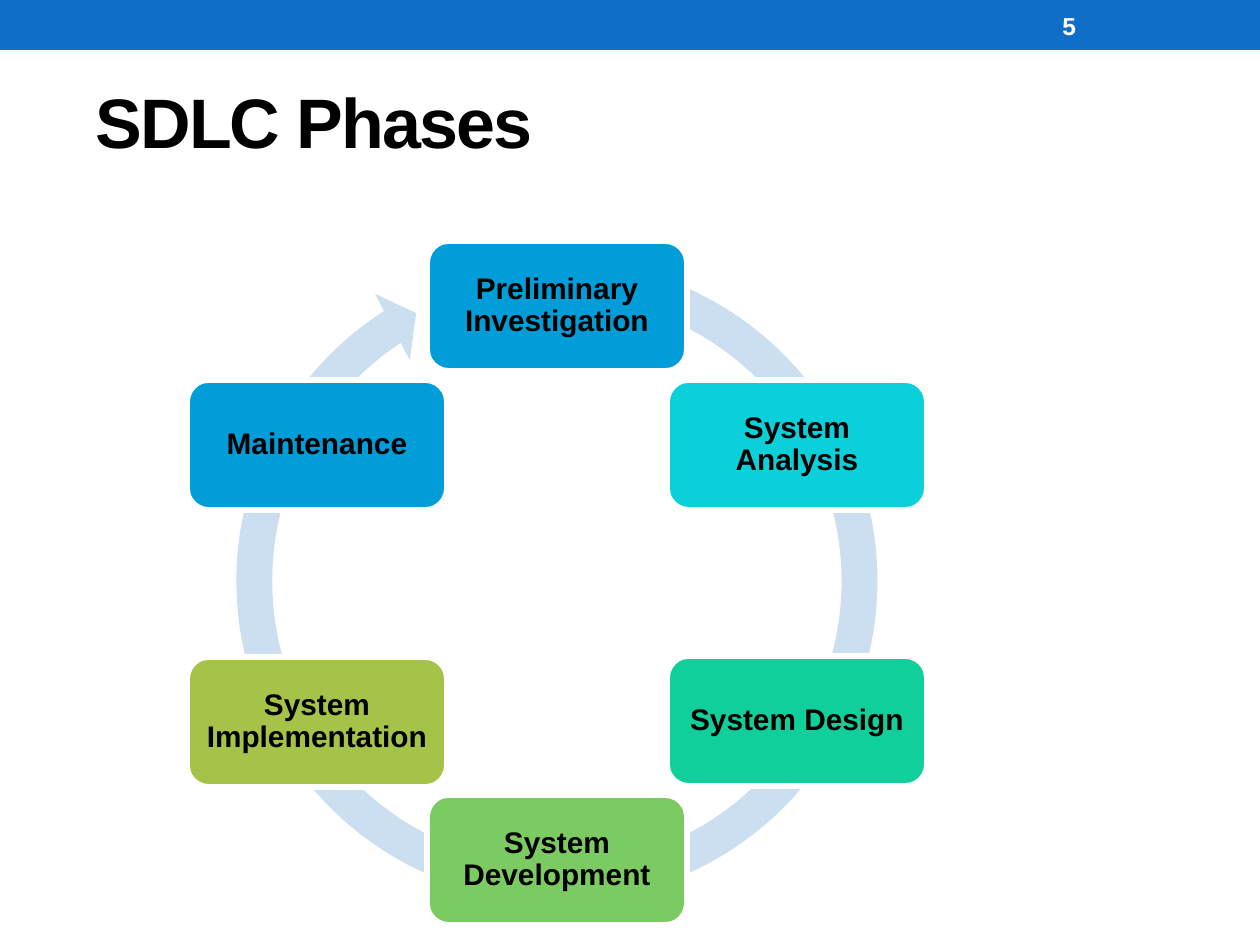
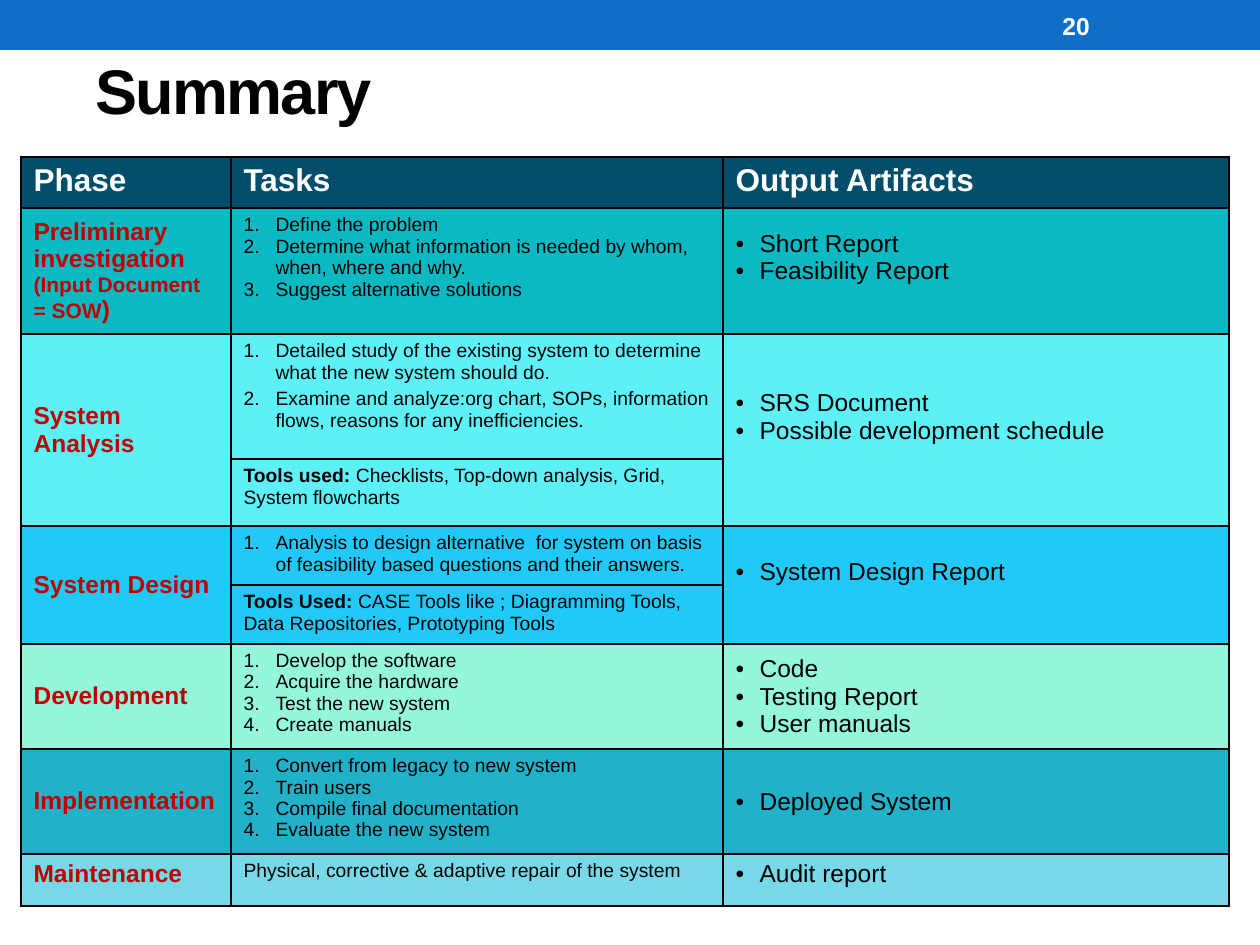
import math
from dataclasses import dataclass
from typing import NamedTuple, Optional

import pptx
import pptx.dml.color
import pptx.enum.shapes
import pptx.enum.text
import pptx.oxml.ns
import pptx.util
from lxml import etree

RGBColor = pptx.dml.color.RGBColor
Shape = pptx.enum.shapes.MSO_SHAPE
Anchor = pptx.enum.text.MSO_ANCHOR
Align = pptx.enum.text.PP_ALIGN
Pt = pptx.util.Pt
qn = pptx.oxml.ns.qn

PX_PER_INCH = 126
FONT = "Arial"

WHITE = RGBColor(0xFF, 0xFF, 0xFF)
BLACK = RGBColor(0x00, 0x00, 0x00)
BAND_BLUE = RGBColor(0x0F, 0x6F, 0xC6)
RING_BLUE = RGBColor(0xCC, 0xDF, 0xF1)
SKY = RGBColor(0x00, 0x9D, 0xD9)
CYAN = RGBColor(0x0B, 0xD0, 0xD9)
TEAL = RGBColor(0x10, 0xCF, 0x9B)
GREEN = RGBColor(0x7C, 0xCA, 0x62)
OLIVE = RGBColor(0xA5, 0xC2, 0x49)
HEADER_NAVY = RGBColor(0x00, 0x4E, 0x6C)
PHASE_RED = RGBColor(0xC0, 0x00, 0x00)
ROW_TEAL = RGBColor(0x0A, 0xB9, 0xC2)
ROW_AQUA = RGBColor(0x5E, 0xF0, 0xF7)
ROW_SKY = RGBColor(0x20, 0xC9, 0xF8)
ROW_MINT = RGBColor(0x94, 0xF7, 0xDC)
ROW_SEA = RGBColor(0x21, 0xB2, 0xC9)
ROW_PALE = RGBColor(0x77, 0xD9, 0xE8)


class Box(NamedTuple):
    left: int
    top: int
    width: int
    height: int


class Style(NamedTuple):
    size: int
    color: RGBColor
    bold: bool = False


class Span(NamedTuple):
    """A piece of a line that has its own size or weight."""
    text: str
    size: int
    bold: bool


class Marker(NamedTuple):
    tag: str
    attribute: str
    value: str
    indent: int


class Stage(NamedTuple):
    label: str
    fill: RGBColor


@dataclass(frozen=True)
class Phase:
    heading: tuple
    fill: RGBColor
    heights: tuple[int, ...]
    tasks: tuple[str, ...]
    artifacts: tuple[str, ...]
    tools: tuple[Span, ...] = ()
    numbered: bool = True
    task_gap: int = 0
    artifact_lift: int = 0
    anchor: Anchor = Anchor.MIDDLE


PAGE = Box(0, 0, 1260, 945)
BAND = Box(0, 0, 1260, 50)
PAGE_NUMBER = Box(1050, 3, 147, 45)
PAGE_NUMBER_STYLE = Style(14, WHITE, True)
STAGE_STYLE = Style(17, BLACK, True)
HEADER_STYLE = Style(18, WHITE, True)
PHASE_STYLE = Style(14, PHASE_RED, True)
TASK_STYLE = Style(11, BLACK)
ARTIFACT_STYLE = Style(14, BLACK)
NUMBER = Marker("a:buAutoNum", "type", "arabicPeriod", 32)
BULLET = Marker("a:buChar", "char", "•", 24)

RING = Box(217, 241, 680, 680)
RING_ADJUSTMENTS = (0.05274, 3.126, 142.241, 171.294, 0.055)
CYCLE_X, CYCLE_Y, CYCLE_RADIUS = 557, 583, 277
STAGE_WIDTH, STAGE_HEIGHT = 260, 130
STAGES = (
    Stage("Preliminary Investigation", SKY),
    Stage("System Analysis", CYAN),
    Stage("System Design", TEAL),
    Stage("System Development", GREEN),
    Stage("System Implementation", OLIVE),
    Stage("Maintenance", SKY),
)

TABLE_LEFT, TABLE_TOP = 21, 157
HEADER_HEIGHT = 51
COLUMN_WIDTHS = (210, 492, 506)
HEADERS = ("Phase", "Tasks", "Output Artifacts")
PHASES = (
    Phase(
        ("Preliminary investigation",
         (Span("(Input Document = SOW", 12, True), Span(")", 14, True))),
        ROW_TEAL, (120,),
        ("Define the problem",
         "Determine what information is needed by whom, when, where and why.",
         "Suggest alternative solutions"),
        ("Short Report", "Feasibility Report"),
        artifact_lift=27,
    ),
    Phase(
        ("System Analysis",), ROW_AQUA, (125, 67),
        ("Detailed study of the existing system to determine what the new system should do.",
         "Examine and analyze:org chart, SOPs, information flows, reasons for any inefficiencies."),
        ("SRS Document", "Possible development schedule"),
        tools=(Span("Tools used: ", 11, True),
               Span("Checklists, Top-down analysis, Grid, System flowcharts", 11, False)),
        task_gap=5,
        artifact_lift=27,
    ),
    Phase(
        ("System Design",), ROW_SKY, (55, 56),
        ("Analysis to design alternative  for system on basis of feasibility "
         "based questions and their answers.",),
        ("System Design Report",),
        tools=(Span("Tools Used: ", 11, True),
               Span("CASE Tools like ; Diagramming Tools, Data Repositories, "
                    "Prototyping Tools", 11, False)),
        artifact_lift=27,
    ),
    Phase(
        ("Development",), ROW_MINT, (98,),
        ("Develop the software", "Acquire the hardware",
         "Test the new system", "Create manuals"),
        ("Code", "Testing Report", "User manuals"),
    ),
    Phase(
        ("Implementation",), ROW_SEA, (98,),
        ("Convert from legacy to new system", "Train users",
         "Compile final documentation", "Evaluate the new system"),
        ("Deployed System",),
    ),
    Phase(
        ("Maintenance",), ROW_PALE, (52,),
        ("Physical, corrective & adaptive repair of the system",),
        ("Audit report",),
        numbered=False,
        anchor=Anchor.TOP,
    ),
)


def px(length: float) -> int:
    return pptx.util.Emu(round(length * 914400 / PX_PER_INCH))


def place(box: Box) -> tuple[int, ...]:
    return tuple(px(length) for length in box)


def set_font(font, style: Style) -> None:
    font.name = FONT
    font.size = Pt(style.size)
    font.bold = style.bold
    font.color.rgb = style.color


def add_marker(paragraph, marker: Marker) -> None:
    properties = paragraph._p.get_or_add_pPr()
    properties.set("marL", str(px(marker.indent)))
    properties.set("indent", str(-px(marker.indent)))
    etree.SubElement(properties, qn("a:buFont")).set("typeface", FONT)
    etree.SubElement(properties, qn(marker.tag)).set(marker.attribute, marker.value)


def write_lines(frame, lines: tuple, style: Style,
                marker: Optional[Marker] = None, gap: int = 0) -> None:
    """Write each line, a string or a tuple of spans, as one paragraph."""
    frame.word_wrap = True
    for index, line in enumerate(lines):
        paragraph = frame.add_paragraph() if index else frame.paragraphs[0]
        if index and gap:
            paragraph.space_before = px(gap)
        if marker:
            add_marker(paragraph, marker)
        if isinstance(line, str):
            paragraph.add_run().text = line
            set_font(paragraph.font, style)
            continue
        for span in line:
            run = paragraph.add_run()
            run.text = span.text
            set_font(run.font, Style(span.size, style.color, span.bold))


def add_filled(slide, kind: Shape, box: Box, fill: RGBColor):
    shape = slide.shapes.add_shape(kind, *place(box))
    shape.shadow.inherit = False
    shape.fill.solid()
    shape.fill.fore_color.rgb = fill
    shape.line.fill.background()
    return shape


def add_label(slide, box: Box, text: str, style: Style):
    frame = slide.shapes.add_textbox(*place(box)).text_frame
    frame.vertical_anchor = Anchor.MIDDLE
    write_lines(frame, (text,), style)
    return frame.paragraphs[0]


def add_page(deck, number: int, title: str, title_box: Box, title_size: int):
    """Add a blank slide with the top band, page number and title."""
    slide = deck.slides.add_slide(deck.slide_layouts[6])
    add_filled(slide, Shape.RECTANGLE, BAND, BAND_BLUE)
    add_label(slide, PAGE_NUMBER, str(number), PAGE_NUMBER_STYLE)
    heading = add_label(slide, title_box, title, Style(title_size, BLACK, True))
    heading.runs[0]._r.get_or_add_rPr().set("spc", "-100")
    return slide


def add_stage(slide, stage: Stage, angle: float) -> None:
    center_x = CYCLE_X + CYCLE_RADIUS * math.sin(angle)
    center_y = CYCLE_Y - CYCLE_RADIUS * math.cos(angle)
    box = Box(round(center_x - STAGE_WIDTH / 2), round(center_y - STAGE_HEIGHT / 2),
              STAGE_WIDTH, STAGE_HEIGHT)
    card = add_filled(slide, Shape.ROUNDED_RECTANGLE, box, stage.fill)
    card.line.color.rgb = WHITE
    card.line.width = Pt(3.35)
    frame = card.text_frame
    frame.margin_left = frame.margin_right = px(9)
    frame.margin_top = frame.margin_bottom = px(9)
    frame.vertical_anchor = Anchor.MIDDLE
    write_lines(frame, (stage.label,), STAGE_STYLE)
    frame.paragraphs[0].alignment = Align.CENTER
    frame.paragraphs[0].line_spacing = 0.9


def add_cycle(slide) -> None:
    ring = add_filled(slide, Shape.CIRCULAR_ARROW, RING, RING_BLUE)
    for index, adjustment in enumerate(RING_ADJUSTMENTS):
        ring.adjustments[index] = adjustment
    for index, stage in enumerate(STAGES):
        add_stage(slide, stage, math.tau * index / len(STAGES))


def paint_cell(cell, fill: RGBColor) -> None:
    """Give a cell black borders and a solid fill."""
    properties = cell._tc.get_or_add_tcPr()
    for side in ("a:lnL", "a:lnR", "a:lnT", "a:lnB"):
        border = etree.SubElement(properties, qn(side), w=str(Pt(1)))
        solid = etree.SubElement(border, qn("a:solidFill"))
        etree.SubElement(solid, qn("a:srgbClr"), val=str(BLACK))
    cell.fill.solid()
    cell.fill.fore_color.rgb = fill


def fill_phase(table, first: int, phase: Phase) -> None:
    last = first + len(phase.heights) - 1
    for row, height in enumerate(phase.heights, first):
        table.rows[row].height = px(height)
        for column in range(len(HEADERS)):
            paint_cell(table.cell(row, column), phase.fill)
    heading, tasks, artifacts = (table.cell(first, column) for column in range(3))
    for cell, column in ((heading, 0), (artifacts, 2)):
        if last > first:
            cell.merge(table.cell(last, column))
        cell.vertical_anchor = phase.anchor
    write_lines(heading.text_frame, phase.heading, PHASE_STYLE)
    write_lines(tasks.text_frame, phase.tasks, TASK_STYLE,
                NUMBER if phase.numbered else None, phase.task_gap)
    if phase.tools:
        write_lines(table.cell(last, 1).text_frame, (phase.tools,), TASK_STYLE)
    artifacts.margin_bottom = px(6 + phase.artifact_lift)
    write_lines(artifacts.text_frame, phase.artifacts, ARTIFACT_STYLE, BULLET)


def add_summary(slide) -> None:
    heights = [HEADER_HEIGHT] + [height for phase in PHASES for height in phase.heights]
    area = Box(TABLE_LEFT, TABLE_TOP, sum(COLUMN_WIDTHS), sum(heights))
    table = slide.shapes.add_table(len(heights), len(HEADERS), *place(area)).table
    table.first_row = table.horz_banding = False
    table.rows[0].height = px(HEADER_HEIGHT)
    for column, (width, header) in enumerate(zip(COLUMN_WIDTHS, HEADERS)):
        table.columns[column].width = px(width)
        paint_cell(table.cell(0, column), HEADER_NAVY)
        write_lines(table.cell(0, column).text_frame, (header,), HEADER_STYLE)
    row = 1
    for phase in PHASES:
        fill_phase(table, row, phase)
        row += len(phase.heights)


def main() -> None:
    deck = pptx.Presentation()
    deck.slide_width, deck.slide_height = px(PAGE.width), px(PAGE.height)
    add_cycle(add_page(deck, 5, "SDLC Phases", Box(83, 68, 1177, 105), 40))
    add_summary(add_page(deck, 20, "Summary", Box(83, 53, 1177, 73), 36))
    deck.save("out.pptx")


if __name__ == "__main__":
    main()
